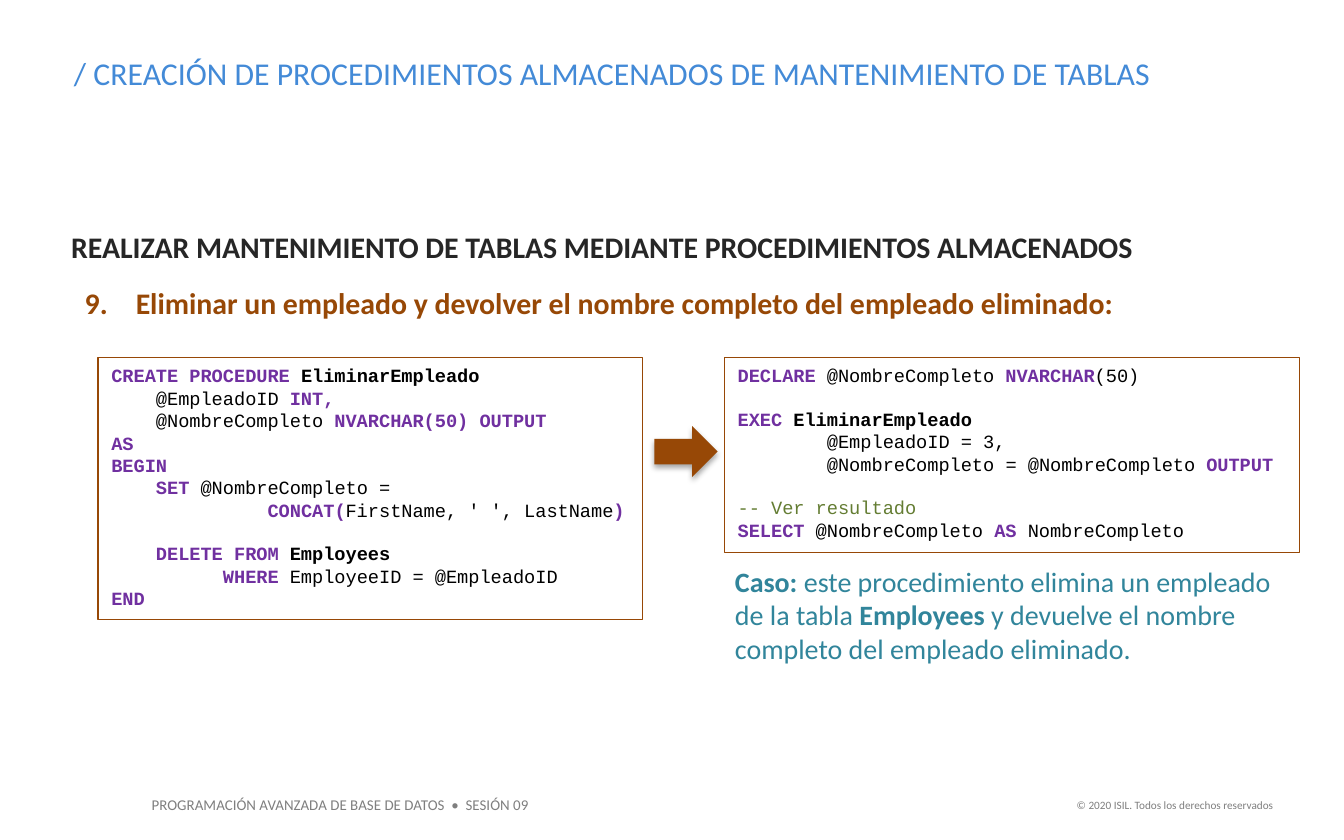
from lxml import etree
from pptx import Presentation
from pptx import util as u
from pptx.dml.color import RGBColor
from pptx.enum import shapes, text
from pptx.oxml import ns

BROWN, PURPLE, BLACK = "974806", "7030A0", "000000"
GREEN, TEAL, BLUE = "647D33", "31859B", "438AD7"
GRAY, DARK = "7F7F7F", "262626"
KEYWORD, NAME, PLAIN, COMMENT = (PURPLE, True), (BLACK, True), (BLACK, False), (GREEN, False)
LINE_GAP = u.Pt(11.33)


def add_runs(paragraph, runs, size, font="Calibri"):
    for words, (color, bold) in runs:
        run = paragraph.add_run()
        run.text = words
        run.font.name = font
        run.font.size = u.Pt(size)
        run.font.bold = bold
        run.font.color.rgb = RGBColor.from_string(color)


def prepare(shape, box, inset=True):
    shape.left, shape.top, shape.width, shape.height = map(u.Inches, box)
    frame = shape.text_frame
    frame.word_wrap = True
    frame.auto_size = text.MSO_AUTO_SIZE.SHAPE_TO_FIT_TEXT
    frame.vertical_anchor = text.MSO_ANCHOR.TOP
    frame.margin_left = frame.margin_right = u.Inches(0.1 if inset else 0)
    frame.margin_top = frame.margin_bottom = u.Inches(0.05 if inset else 0)
    paragraph = frame.paragraphs[0]
    paragraph.alignment = text.PP_ALIGN.LEFT
    paragraph.space_before = u.Pt(0)
    return paragraph


presentation = Presentation()
presentation.slide_width = u.Inches(10)
presentation.slide_height = u.Inches(6.25)
slide = presentation.slides.add_slide(presentation.slide_layouts[1])

paragraph = prepare(slide.shapes.title, (0.45, 0.35, 9.01, 0.39))
add_runs(paragraph, [("/ CREACIÓN DE PROCEDIMIENTOS ALMACENADOS DE MANTENIMIENTO DE TABLAS", (BLUE, False))], 17)

paragraph = prepare(slide.placeholders[1], (0.62, 2.12, 9.01, 0.27), inset=False)
properties = paragraph._p.get_or_add_pPr()
properties.set("marL", str(u.Inches(0.39)))
properties.set("indent", str(u.Inches(-0.38)))
bullet_color = etree.SubElement(properties, ns.qn("a:buClr"))
etree.SubElement(bullet_color, ns.qn("a:srgbClr"), val=BROWN)
etree.SubElement(properties, ns.qn("a:buFont"), typeface="+mj-lt")
etree.SubElement(properties, ns.qn("a:buAutoNum"), type="arabicPeriod", startAt="9")
add_runs(paragraph, [("Eliminar un empleado y devolver el nombre completo del empleado eliminado:", (BROWN, True))], 16)

labels = [
    ((1.03, 5.87, 3.03, 0.24), True, text.PP_ALIGN.LEFT, 8,
     [("PROGRAMACIÓN AVANZADA DE BASE DE DATOS  •  SESIÓN 09", (GRAY, False))]),
    ((7.88, 5.89, 1.69, 0.2), True, text.PP_ALIGN.RIGHT, 6,
     [("© 2020 ISIL. Todos los derechos reservados", (GRAY, False))]),
    ((0.53, 1.7, 8.04, 0.27), False, text.PP_ALIGN.JUSTIFY, 16,
     [("REALIZAR MANTENIMIENTO DE TABLAS MEDIANTE PROCEDIMIENTOS ALMACENADOS", (DARK, True))]),
    ((5.37, 4.15, 4.28, 0.86), True, text.PP_ALIGN.LEFT, 15,
     [("Caso: ", (TEAL, True)),
      ("este procedimiento elimina un empleado de la tabla ", (TEAL, False)),
      ("Employees", (TEAL, True)),
      (" y devuelve el nombre completo del empleado eliminado.", (TEAL, False))]),
]
for box, inset, alignment, size, runs in labels:
    label = slide.shapes.add_textbox(0, 0, 0, 0)
    paragraph = prepare(label, box, inset)
    paragraph.alignment = alignment
    add_runs(paragraph, runs, size)

procedure_code = [
    [("CREATE PROCEDURE ", KEYWORD), ("EliminarEmpleado", NAME)],
    [("    @EmpleadoID ", PLAIN), ("INT,", KEYWORD)],
    [("    @NombreCompleto ", PLAIN), ("NVARCHAR(50) OUTPUT", KEYWORD)],
    [("AS", KEYWORD)],
    [("BEGIN", KEYWORD)],
    [("    SET ", KEYWORD), ("@NombreCompleto =", PLAIN)],
    [("              CONCAT(", KEYWORD), ("FirstName, ' ', LastName", PLAIN), (")", KEYWORD)],
    [("    DELETE FROM ", KEYWORD), ("Employees", NAME)],
    [("          WHERE ", KEYWORD), ("EmployeeID = @EmpleadoID", PLAIN)],
    [("END", KEYWORD)],
]
call_code = [
    [("DECLARE ", KEYWORD), ("@NombreCompleto ", PLAIN), ("NVARCHAR", KEYWORD), ("(50)", PLAIN)],
    [("EXEC ", KEYWORD), ("EliminarEmpleado", NAME)],
    [("        @EmpleadoID = 3,", PLAIN)],
    [("        @NombreCompleto = @NombreCompleto ", PLAIN), ("OUTPUT", KEYWORD)],
    [("-- Ver resultado", COMMENT)],
    [("SELECT", KEYWORD), (" @NombreCompleto ", PLAIN), ("AS ", KEYWORD), ("NombreCompleto", PLAIN)],
]
code_boxes = [
    ((0.73, 2.66, 4.05, 1.95), procedure_code, {7}),
    ((5.39, 2.66, 4.28, 1.45), call_code, {1, 4}),
]
for box, code, lines_after_gap in code_boxes:
    code_box = slide.shapes.add_shape(shapes.MSO_SHAPE.RECTANGLE, 0, 0, 0, 0)
    code_box.shadow.inherit = False
    code_box.fill.background()
    code_box.line.color.rgb = RGBColor.from_string(BROWN)
    code_box.line.width = u.Pt(0.75)
    paragraph = prepare(code_box, box)
    for number, runs in enumerate(code):
        if number:
            paragraph = code_box.text_frame.add_paragraph()
            paragraph.alignment = text.PP_ALIGN.LEFT
        if number in lines_after_gap:
            paragraph.space_before = LINE_GAP
        add_runs(paragraph, runs, 10, "Courier New")

arrow = slide.shapes.add_shape(
    shapes.MSO_SHAPE.RIGHT_ARROW, u.Inches(4.87), u.Inches(3.17), u.Inches(0.47), u.Inches(0.38))
arrow.fill.solid()
arrow.fill.fore_color.rgb = RGBColor.from_string(BROWN)
arrow.line.fill.background()
arrow.shadow.inherit = False
effects = arrow._element.spPr.find(ns.qn("a:effectLst"))
shadow = etree.SubElement(effects, ns.qn("a:outerShdw"), blurRad=str(u.Pt(3.1)),
                          dist=str(u.Pt(1.8)), dir="5400000", rotWithShape="0")
shadow_color = etree.SubElement(shadow, ns.qn("a:srgbClr"), val=BLACK)
etree.SubElement(shadow_color, ns.qn("a:alpha"), val="35000")

presentation.save("out.pptx")
